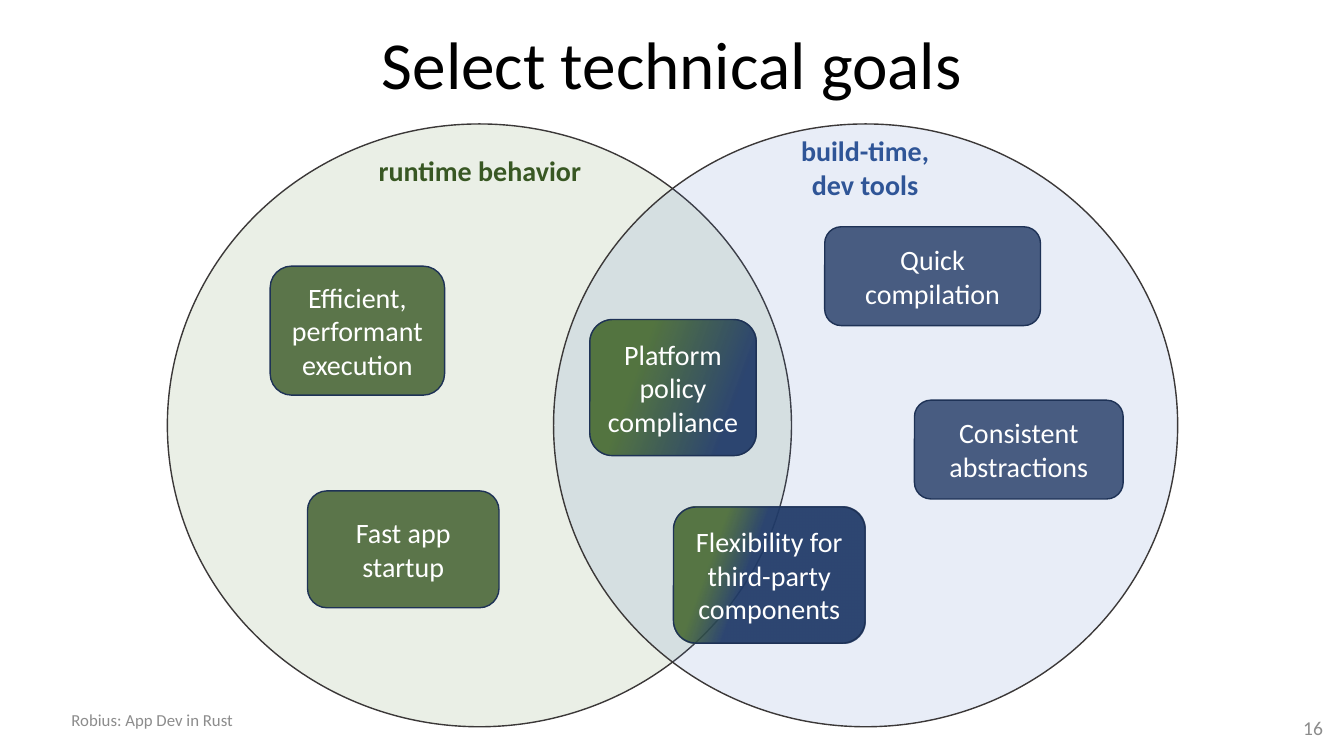
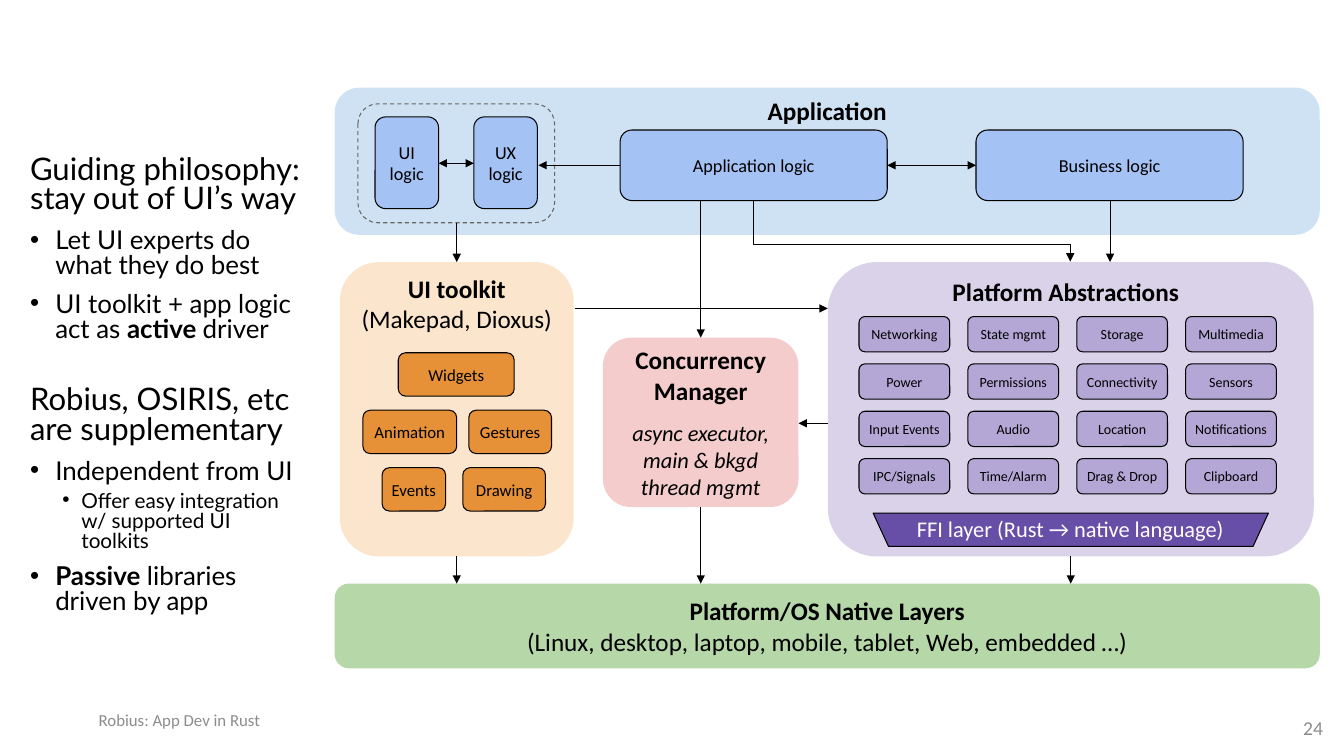
"""Build two slides: technical goals as a Venn diagram, and a layered app architecture."""
from copy import deepcopy

from lxml.etree import SubElement
from pptx import Presentation
from pptx.dml.color import RGBColor
from pptx.enum.dml import MSO_LINE
from pptx.enum.shapes import MSO_CONNECTOR, MSO_SHAPE
from pptx.enum.text import MSO_ANCHOR, PP_ALIGN
from pptx.oxml.ns import qn
from pptx.util import Inches, Pt

COLORS = {
    "black": "000000", "white": "FFFFFF", "footer": "8C8C8C", "outline": "3B3838",
    "runtime": "548235", "runtime_dark": "385723", "build": "4472C4",
    "build_label": "2F5597", "build_dark": "203864", "goal_line": "1E3256",
    "blend_blue": "213B69", "policy_green": "42662A", "flexible_green": "406328",
    "app": "CFE2F3", "logic": "A4C2F4", "native": "B6D7A8", "toolkit": "FCE5CD",
    "widget": "E69138", "platform": "D9D2E9", "service": "B4A7D6",
    "concurrency": "F4CCCC", "ffi": "674EA7", "dash": "666666",
}
RGB = {name: RGBColor.from_string(value) for name, value in COLORS.items()}
TIGHT = {"margin_left": 0, "margin_right": 0, "margin_top": 0, "margin_bottom": 0}
FLAT = {"margin_top": 0, "margin_bottom": 0}
TOP = {"vertical_anchor": MSO_ANCHOR.TOP}
LEFT = {"alignment": PP_ALIGN.LEFT}


def add_box(slide, at, paragraphs=(), geometry=None, fill=None, alpha=(), stops=(),
            line=None, width=0.75, dash=None, size=18, color="black", font="Calibri",
            bold=False, frame=None, layout=None):
    box = [Inches(value) for value in at]
    if geometry is None:
        shape = slide.shapes.add_textbox(*box)
    else:
        shape = slide.shapes.add_shape(geometry, *box)
        shape.shadow.inherit = False
        if stops:
            shape.fill.gradient()
            shape.fill.gradient_angle = 160
            for stop, (position, stop_color) in zip(shape.fill.gradient_stops, stops):
                stop.position = position
                stop.color.rgb = RGB[stop_color]
        elif fill:
            shape.fill.solid()
            shape.fill.fore_color.rgb = RGB[fill]
        else:
            shape.fill.background()
        for percent, node in zip(alpha, shape._element.spPr.iter(qn("a:srgbClr"))):
            SubElement(node, qn("a:alpha"), val=str(percent * 1000))
        if line:
            shape.line.color.rgb = RGB[line]
            shape.line.width = Pt(width)
            shape.line.dash_style = dash
        else:
            shape.line.fill.background()
    text_frame = shape.text_frame
    frame_format = {"word_wrap": True, "vertical_anchor": MSO_ANCHOR.MIDDLE, **(frame or {})}
    for name, value in frame_format.items():
        setattr(text_frame, name, value)
    for index, content in enumerate(paragraphs):
        runs, extra = ([(content, {})], {}) if isinstance(content, str) else content
        paragraph = text_frame.add_paragraph() if index else text_frame.paragraphs[0]
        paragraph_format = {"alignment": PP_ALIGN.CENTER, **(layout or {}), **extra}
        indent = paragraph_format.pop("bullet", None)
        if indent:
            properties = paragraph._p.get_or_add_pPr()
            properties.set("marL", str(Inches(indent[0])))
            properties.set("indent", str(-Inches(indent[1])))
            SubElement(properties, qn("a:buFont"), typeface="Arial")
            SubElement(properties, qn("a:buChar"), char="•")
        for name, value in paragraph_format.items():
            setattr(paragraph, name, value)
        for text, emphasis in runs:
            font_format = {"name": font, "size": Pt(size), "bold": bold, **emphasis}
            for number, part in enumerate(text.split("\n")):
                if number:
                    line_break = paragraph._p.add_br()
                    line_break.insert(0, deepcopy(run._r.rPr))
                run = paragraph.add_run()
                run.text = part
                for name, value in font_format.items():
                    setattr(run.font, name, value)
                run.font.color.rgb = RGB[color]
    return shape


def add_arrow(slide, start, end, both=False, kind=MSO_CONNECTOR.STRAIGHT):
    arrow = slide.shapes.add_connector(kind, *[Inches(value) for value in (*start, *end)])
    arrow.line.color.rgb = RGB["black"]
    arrow.line.width = Pt(0.75)
    for tip in ("a:headEnd", "a:tailEnd") if both else ("a:tailEnd",):
        SubElement(arrow.line._get_or_add_ln(), qn(tip), type="triangle")
    SubElement(arrow._element.spPr, qn("a:effectLst"))
    return arrow


presentation = Presentation()
presentation.slide_width = Inches(13.33)
presentation.slide_height = Inches(7.5)
goals, architecture = [
    presentation.slides.add_slide(presentation.slide_layouts[6]) for _ in range(2)
]
ROUND = MSO_SHAPE.ROUNDED_RECTANGLE

add_box(goals, (0, -0.05, 13.33, 1.45), ["Select technical goals"], size=48,
        layout={"line_spacing": 0.9})
for left, fill in ((1.66, "runtime"), (5.49, "build")):
    add_box(goals, (left, 1.23, 6.19, 5.98), geometry=MSO_SHAPE.OVAL, fill=fill,
            alpha=[12], line="outline", width=1)
for at, heading, color in (
    ((3.57, 1.47, 2.38, 0.44), ["runtime behavior"], "runtime_dark"),
    ((7.54, 1.28, 2.08, 0.77), ["build-time,", "dev tools"], "build_label"),
):
    add_box(goals, at, heading, size=20, color=color, bold=True, frame=TOP)

runtime_goal = {"fill": "runtime_dark", "alpha": [80]}
build_goal = {"fill": "build_dark", "alpha": [80]}
policy_goal = {"stops": [(0.19, "blend_blue"), (0.7, "policy_green")], "alpha": [93, 87]}
flexible_goal = {"stops": [(0.6, "blend_blue"), (0.77, "flexible_green")], "alpha": [93, 84]}
for at, goal, look in (
    ((2.68, 2.64, 1.73, 1.28), "Efficient, performant execution", runtime_goal),
    ((8.18, 2.25, 2.14, 0.98), "Quick compilation", build_goal),
    ((3.05, 4.87, 1.9, 1.16), "Fast app startup", runtime_goal),
    ((9.07, 3.97, 2.07, 0.98), "Consistent abstractions", build_goal),
    ((5.85, 3.17, 1.65, 1.35), "Platform policy compliance", policy_goal),
    ((6.68, 5.03, 1.9, 1.35), "Flexibility for third-party components", flexible_goal),
):
    add_box(goals, at, [goal], ROUND, line="goal_line", width=1, size=20,
            color="white", **look)

heading, point, detail = {"size": Pt(22.2)}, {"size": Pt(18.5)}, {"size": Pt(14.8)}
strong = {**point, "bold": True}
bullet = {"bullet": (0.25, 0.25), "space_before": Pt(10)}
sub_bullet = {"level": 1, "bullet": (0.51, 0.19), "space_before": Pt(5)}
add_box(architecture, (0.2, 1.5, 2.9, 4.74), [
    ([("Guiding philosophy:\nstay out of UI’s way", heading)], {}),
    ([("Let UI experts do\nwhat they do best", point)], bullet),
    ([("UI toolkit + app logic act as ", point), ("active ", strong), ("driver", point)], bullet),
    ([("Robius, OSIRIS, etc\nare supplementary", heading)], {"space_before": Pt(31)}),
    ([("Independent from UI", point)], bullet),
    ([("Offer easy integration w/ supported UI toolkits", detail)], sub_bullet),
    ([("Passive", strong), (" libraries\ndriven by app", point)], bullet),
], font="Lato", frame=TOP, layout={**LEFT, "line_spacing": 0.8})

plain = {"bold": False}
executor = {"bold": False, "italic": True, "size": Pt(16)}
for at, fill, text, frame in (
    ((3.32, 0.87, 9.77, 1.46), "app", ["Application"], {**FLAT, **TOP}),
    ((3.32, 5.79, 9.77, 0.84), "native", [
        "Platform/OS Native Layers",
        ([("(Linux, desktop, laptop, mobile, tablet, Web, embedded …)", plain)], {}),
    ], FLAT),
    ((3.37, 2.6, 2.32, 2.92), "toolkit",
     ["UI toolkit", ([("(Makepad, Dioxus)", plain)], {})], {**TIGHT, **TOP}),
    ((8.21, 2.6, 4.82, 2.92), "platform", ["Platform Abstractions"],
     {**FLAT, **TOP, "margin_left": 0}),
    ((5.98, 3.35, 1.94, 1.68), "concurrency", [
        "Concurrency Manager",
        ([("async executor,\nmain & bkgd thread mgmt", executor)], {"space_before": Pt(10)}),
    ], FLAT),
):
    add_box(architecture, at, text, ROUND, fill=fill, bold=True, frame=frame)

add_box(architecture, (3.55, 1.03, 1.95, 1.18), geometry=ROUND, line="dash",
        dash=MSO_LINE.DASH)
for at, logic in (
    ((3.72, 1.16, 0.63, 0.91), "UI logic"),
    ((4.7, 1.16, 0.63, 0.91), "UX logic"),
    ((6.15, 1.29, 2.65, 0.7), "Application logic"),
    ((9.68, 1.29, 2.65, 0.7), "Business logic"),
):
    add_box(architecture, at, [logic], ROUND, fill="logic", line="black", size=13, frame=FLAT)

toolkit_rows = (
    ((3.95, 1.15, "Widgets"),),
    ((3.6, 0.93, "Animation"), (4.65, 0.82, "Gestures")),
    ((3.79, 0.63, "Events"), (4.59, 0.82, "Drawing")),
)
for row, widgets in enumerate(toolkit_rows):
    for left, width, widget in widgets:
        add_box(architecture, (left, 3.5 + 0.57 * row, width, 0.43), [widget], ROUND,
                fill="widget", line="black", size=12, frame=TIGHT)

service_rows = (
    ("Networking", "State mgmt", "Storage", "Multimedia"),
    ("Power", "Permissions", "Connectivity", "Sensors"),
    ("Input Events", "Audio", "Location", "Notifications"),
    ("IPC/Signals", "Time/Alarm", "Drag & Drop", "Clipboard"),
)
for row, services in enumerate(service_rows):
    for column, service in enumerate(services):
        add_box(architecture, (8.52 + 1.08 * column, 3.14 + 0.47 * row, 0.9, 0.35),
                [service], ROUND, fill="service", line="black", size=10, frame=TIGHT)

ffi_layer = add_box(architecture, (8.66, 5.09, 3.92, 0.33), geometry=MSO_SHAPE.TRAPEZOID,
                    fill="ffi", line="black")
ffi_layer.rotation = 180
ffi_layer.adjustments[0] = 0.46
add_box(architecture, (8.51, 5.11, 4.21, 0.44), ["FFI layer (Rust → native language)"],
        size=16, color="white", frame={**TIGHT, **TOP})

for start, end, both in (
    ((4.35, 1.62), (4.7, 1.62), True),
    ((6.15, 1.64), (5.34, 1.64), False),
    ((8.8, 1.64), (9.68, 1.64), True),
    ((4.53, 2.21), (4.53, 2.6), False),
    ((6.95, 1.99), (6.95, 3.35), False),
    ((11.01, 1.99), (11.01, 2.6), False),
    ((5.7, 3.06), (8.21, 3.06), False),
    ((8.21, 4.2), (7.92, 4.2), False),
    ((4.53, 5.52), (4.53, 5.79), False),
    ((6.95, 5.03), (6.95, 5.79), False),
    ((10.62, 5.52), (10.62, 5.79), False),
):
    add_arrow(architecture, start, end, both)
logic_to_platform = add_arrow(architecture, (9.35, 0.72), (8.74, 3.86),
                              kind=MSO_CONNECTOR.ELBOW)
elbow = logic_to_platform._element.spPr
elbow.find(qn("a:xfrm")).set("rot", str(270 * 60000))
SubElement(elbow.find(qn("a:prstGeom")).find(qn("a:avLst")), qn("a:gd"),
           name="adj1", fmla="val 72500")

for slide, number, footer_left in ((goals, "16", 0.61), (architecture, "24", 0.88)):
    add_box(slide, (10.22, 7.02, 3, 0.4), [number], size=14, color="footer",
            layout={"alignment": PP_ALIGN.RIGHT})
    add_box(slide, (footer_left, 6.94, 2.75, 0.4), ["Robius: App Dev in Rust"], size=12,
            color="footer", layout=LEFT)

presentation.save("out.pptx")
